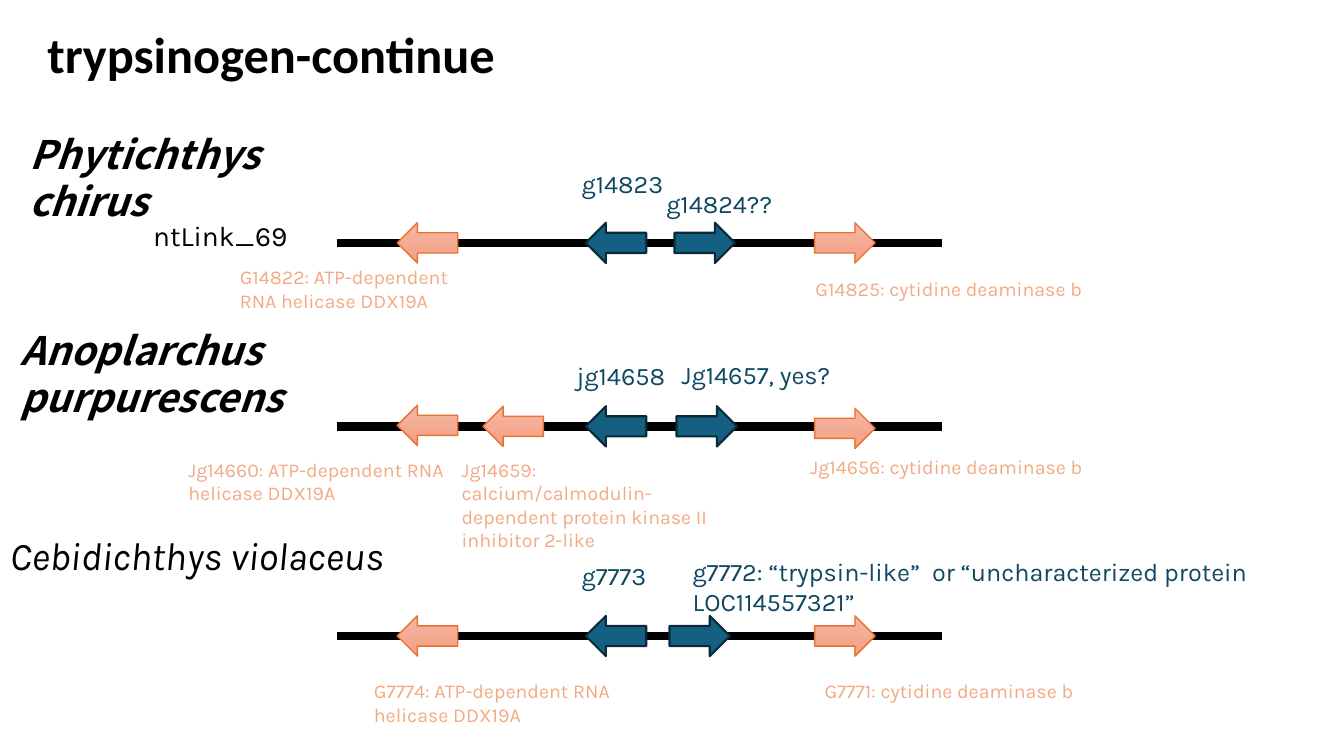
import pptx
import pptx.util
import pptx.dml.color
import pptx.enum.shapes
import pptx.enum.text
import pptx.oxml.ns
import lxml.etree

COLS, ROWS = 133.3, 75  # grid of tenth-inch cells
HEX = {"black": "000000", "gene": "156082", "edge": "092A39", "name": "104862",
       "pale": "F5B8A5", "warm": "F59E82", "rim": "E97132", "note": "F2AA84"}


class Map:
    """Holds the style and the slide with the gene maps."""

    def __init__(self, deck):
        self.wide, self.high = deck.slide_width, deck.slide_height
        self.slide = deck.slides.add_slide(deck.slide_layouts[5])

    def rgb(self, key):
        return pptx.dml.color.RGBColor.from_string(HEX[key])

    def box(self, x, y, w, h):
        return (round(x / COLS * self.wide), round(y / ROWS * self.high),
                round(w / COLS * self.wide), round(h / ROWS * self.high))

    def style(self, frame, text, size, color, face, bold=False, ital=False):
        frame.text = text
        frame.word_wrap = True
        para = frame.paragraphs[0]
        para.alignment = pptx.enum.text.PP_ALIGN.LEFT
        font = para.runs[0].font
        font.size, font.name = pptx.util.Pt(size), face
        font.bold, font.italic = bold, ital
        font.color.rgb = self.rgb(color)

    def title(self, text, *spot):
        head = self.slide.shapes.title
        head.left, head.top, head.width, head.height = self.box(*spot)
        self.style(head.text_frame, text, 36, "black", "Calibri", bold=True)
        head.text_frame.vertical_anchor = pptx.enum.text.MSO_ANCHOR.MIDDLE

    def label(self, text, spot, size, color, face="Karla", **kind):
        frame = self.slide.shapes.add_textbox(*self.box(*spot)).text_frame
        self.style(frame, text, size, color, face, **kind)

    def strand(self, y):
        x, top, run, _ = self.box(33.4, y, 60, 0)
        line = self.slide.shapes.add_connector(
            pptx.enum.shapes.MSO_CONNECTOR.STRAIGHT, x, top, x + run, top)
        line.line.width = pptx.util.Pt(6)
        line.line.color.rgb = self.rgb("black")
        props = line._element.spPr
        lxml.etree.SubElement(props, pptx.oxml.ns.qn("a:effectLst"))

    def gene(self, x, mid, way, main):
        kinds = pptx.enum.shapes.MSO_SHAPE
        form = kinds.LEFT_ARROW if way == "left" else kinds.RIGHT_ARROW
        arrow = self.slide.shapes.add_shape(form, *self.box(x, mid - 2, 6, 4))
        arrow.shadow.inherit = False
        if main:
            arrow.fill.solid()
            arrow.fill.fore_color.rgb = self.rgb("gene")
        else:
            arrow.fill.gradient()
            arrow.fill.gradient_angle = 270
            for stop, key in zip(arrow.fill.gradient_stops, ("pale", "warm")):
                stop.color.rgb = self.rgb(key)
        arrow.line.color.rgb = self.rgb("edge" if main else "rim")
        arrow.line.width = pptx.util.Pt(1.5 if main else 1)


# Each map: strand row, species, other genes, right main gene, names, notes
BOLD = {"face": "Noto Sans CJK TC", "bold": True, "ital": True}
MAPS = [
    (24.1, ("Phytichthys chirus", (1.9, 12.4, 30.1, 5.7), BOLD),
     [(39.4, 24.1, "left"), (80.8, 24.1, "right")], 66.9,
     [("g14823", (56.7, 16.2, 12.8, 4)), ("g14824??", (65.1, 18.2, 12.8, 4))],
     [("G14822: ATP-dependent RNA helicase DDX19A", (22.8, 25.8, 25.2, 5.7)),
      ("G14825: cytidine deaminase b", (79.9, 27, 33.3, 3.4))]),
    (42.3, ("Anoplarchus purpurescens", (1, 31.9, 47.1, 5.7), BOLD),
     [(39.4, 42.2, "left"), (47.9, 42.3, "left"), (80.8, 42.5, "right")], 67.1,
     [("jg14658", (56.2, 35.3, 12.8, 4)),
      ("Jg14657, yes?", (66.6, 35.2, 22.9, 4))],
     [("Jg14660: ATP-dependent RNA helicase DDX19A", (17.7, 44.9, 32.1, 5.7)),
      ("Jg14659: calcium/calmodulin-dependent protein kinase II inhibitor 2-like",
       (44.8, 44.9, 26.9, 10.4)),
      ("Jg14656: cytidine deaminase b", (79.4, 44.6, 33.3, 3.4))]),
    (63.1, ("Cebidichthys violaceus", (0, 52.2, 47.1, 5.7), {"ital": True}),
     [(39.4, 63.1, "left"), (80.8, 63.1, "right")], 66.4,
     [("g7773", (56.7, 55.1, 12.8, 4)),
      ("g7772: “trypsin-like”  or “uncharacterized protein LOC114557321”",
       (67.7, 54.7, 57.1, 7.1))],
     [("G7774: ATP-dependent RNA helicase DDX19A", (36.1, 66.9, 27.5, 5.7)),
      ("G7771: cytidine deaminase b", (80.8, 66.9, 29.5, 3.4))]),
]


def main():
    deck = pptx.Presentation()
    deck.slide_width = pptx.util.Inches(13.33)
    deck.slide_height = pptx.util.Inches(7.5)
    page = Map(deck)
    page.title("trypsinogen-continue", 3.7, 1.7, 59.9, 7.1)

    for mid, (fish, spot, kind), side, right, names, notes in MAPS:
        # Strand and its genes
        page.strand(mid)
        for x, y, way in side:
            page.gene(x, y, way, False)
        page.gene(58.1, mid, "left", True)
        page.gene(right, mid, "right", True)
        # Species, gene names and notes
        page.label(fish, spot, 28, "black", **kind)
        for text, place in names:
            page.label(text, place, 18, "name")
        for text, place in notes:
            page.label(text, place, 14, "note")

    # Scaffold name of the first strand
    page.label("ntLink_69", (14.2, 21.2, 15.8, 4.4), 20, "black")
    deck.save("out.pptx")


if __name__ == "__main__":
    main()
